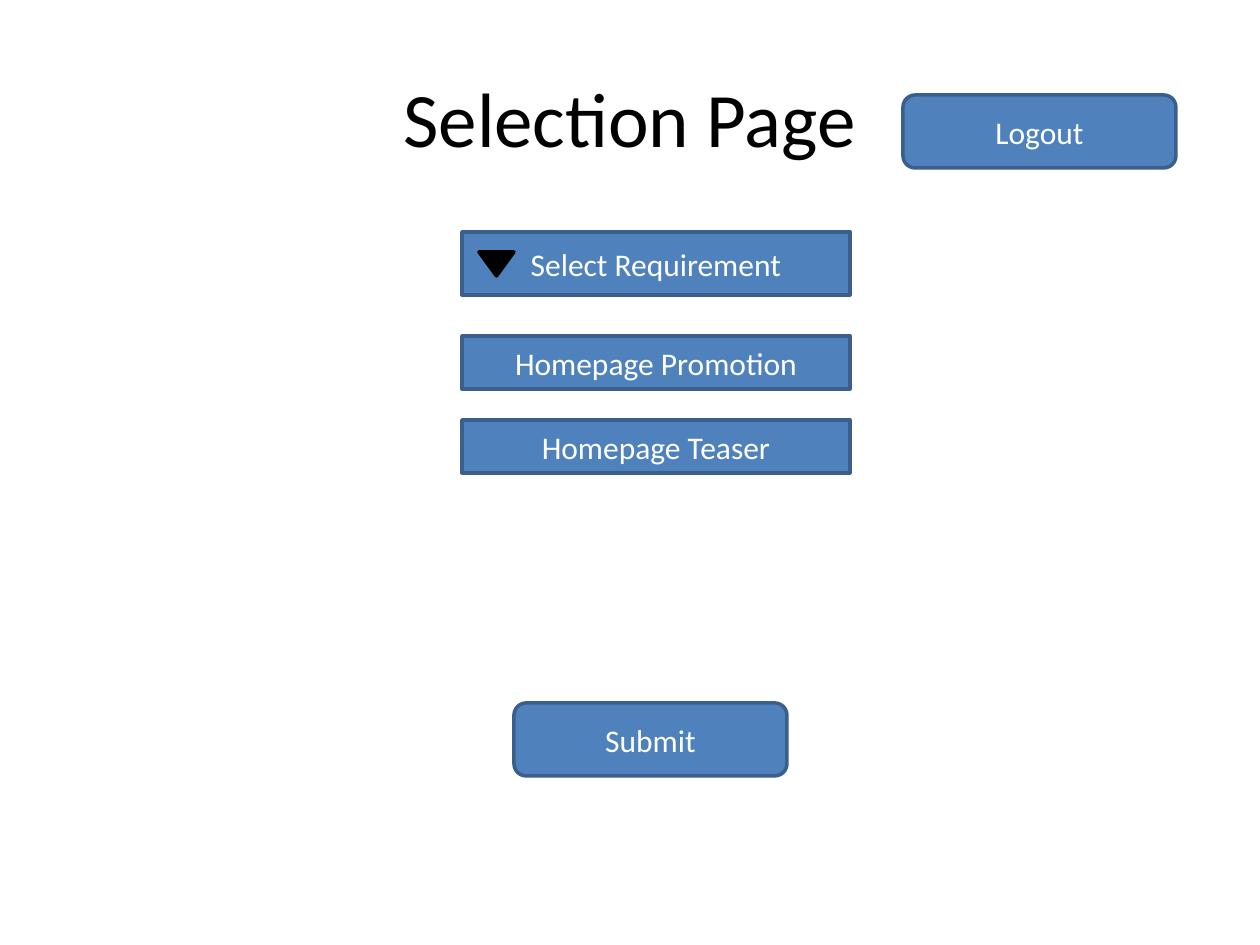
from pptx import Presentation
from pptx import util as u
from pptx.dml.color import RGBColor
from pptx.enum import shapes, text

PX = 914400 // 126
BLUE = RGBColor(0x4F, 0x81, 0xBD)
EDGE = RGBColor(0x3A, 0x5F, 0x8C)
WHITE = RGBColor(0xFF, 0xFF, 0xFF)
BLACK = RGBColor(0, 0, 0)
KIND = shapes.MSO_SHAPE

deck = Presentation()
deck.slide_width, deck.slide_height = u.Inches(10), u.Inches(7.5)
page = deck.slides.add_slide(deck.slide_layouts[6])


def write(box, words, size, color):
    frame = box.text_frame
    frame.word_wrap = True
    frame.vertical_anchor = text.MSO_ANCHOR.MIDDLE
    para = frame.paragraphs[0]
    para.alignment = text.PP_ALIGN.CENTER
    span = para.add_run()
    span.text = words
    span.font.color.rgb = color
    for name, value in {"name": "Calibri", "size": u.Pt(size)}.items():
        setattr(span.font, name, value)


def draw(kind, place, fill, edge):
    box = page.shapes.add_shape(kind, *[n * PX for n in place])
    box.shadow.inherit = False
    box.fill.solid()
    box.fill.fore_color.rgb = fill
    box.line.color.rgb = edge
    box.line.width = u.Pt(2)
    return box


# Title
title = page.shapes.add_textbox(*[n * PX for n in (63, 38, 1134, 157)])
write(title, "Selection Page", 44, BLACK)

# Selection fields and buttons
LEFT, WIDTH, OPTION_HEIGHT = 462, 388, 53
BUTTON = (273, 73)
controls = [
    ("Select Requirement", KIND.RECTANGLE, (LEFT, 232, WIDTH, 63)),
    ("Homepage Promotion", KIND.RECTANGLE, (LEFT, 336, WIDTH, OPTION_HEIGHT)),
    ("Homepage Teaser", KIND.RECTANGLE, (LEFT, 420, WIDTH, OPTION_HEIGHT)),
    ("Submit", KIND.ROUNDED_RECTANGLE, (514, 703, *BUTTON)),
    ("Logout", KIND.ROUNDED_RECTANGLE, (903, 95, *BUTTON)),
]
for label, kind, place in controls:
    write(draw(kind, place, BLUE, EDGE), label, 18, WHITE)

# Dropdown arrow
draw(KIND.FLOWCHART_MERGE, (479, 252, 35, 24), BLACK, BLACK)

deck.save("out.pptx")
